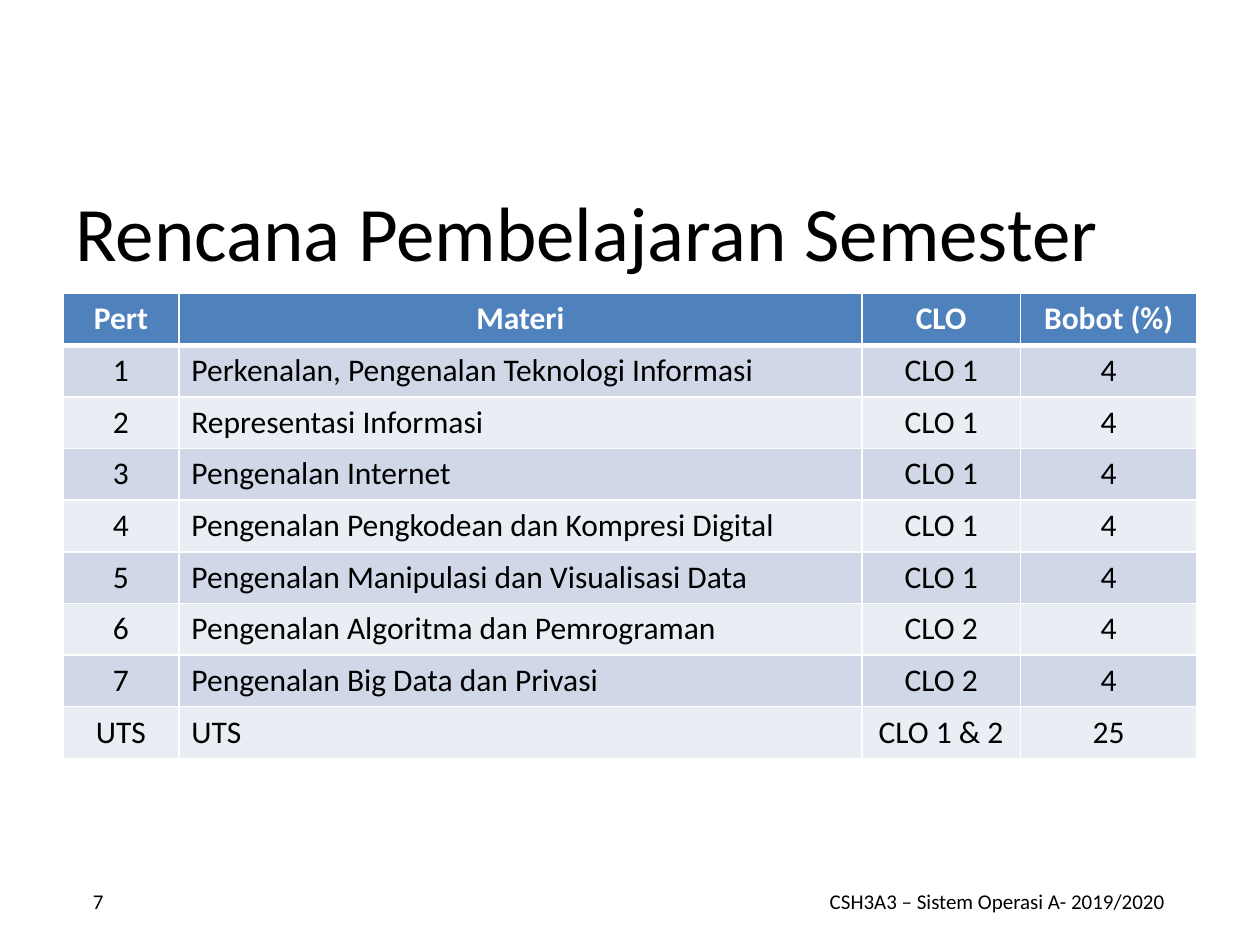
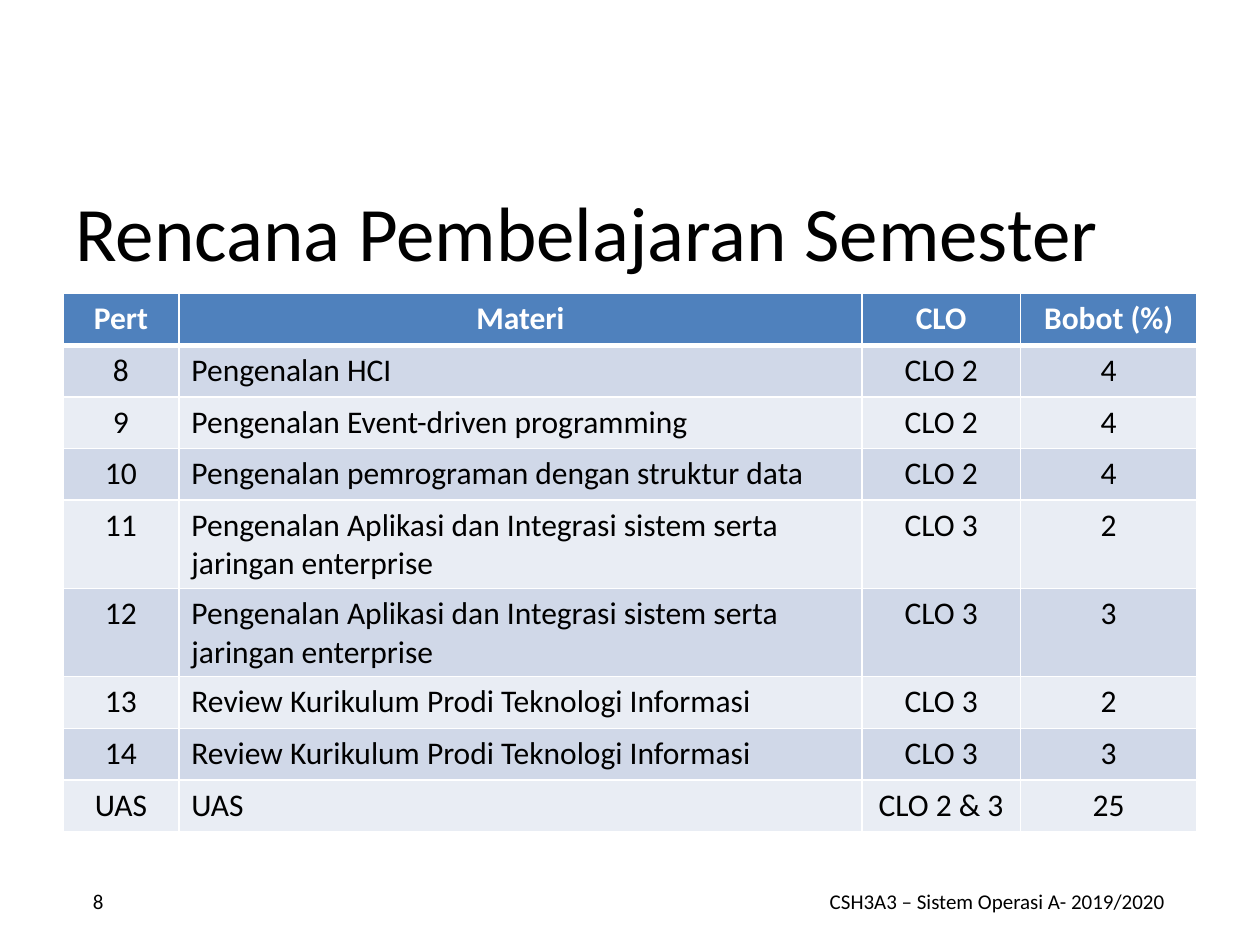
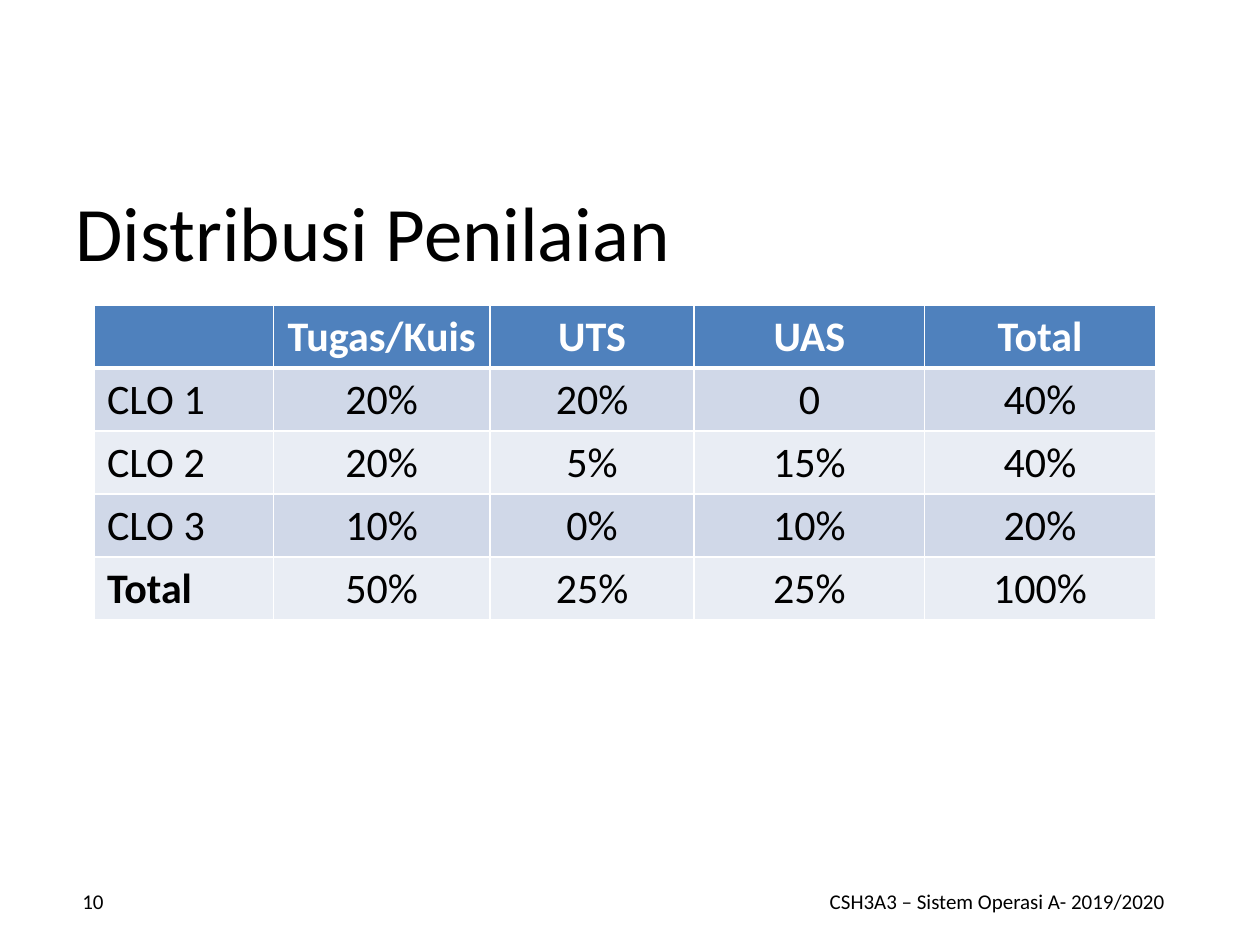
"""Build three course slides: two semester plans and the grading distribution."""
from dataclasses import dataclass

from lxml.etree import SubElement
from pptx import Presentation
from pptx.dml.color import RGBColor
from pptx.enum.text import MSO_ANCHOR, PP_ALIGN
from pptx.oxml.ns import qn
from pptx.util import Inches, Pt

FONT = "Calibri"
BLACK = RGBColor(0x00, 0x00, 0x00)
WHITE = RGBColor(0xFF, 0xFF, 0xFF)
HEADER_BLUE = RGBColor(0x4F, 0x81, 0xBD)
BANDS = (RGBColor(0xD0, 0xD8, 0xE8), RGBColor(0xE9, 0xED, 0xF4))

FOOTER = "CSH3A3 – Sistem Operasi A- 2019/2020"
PLAN_TITLE = "Rencana Pembelajaran Semester"
PLAN_HEADER = ("Pert", "Materi", "CLO", "Bobot (%)")
INTEGRATION = "Pengenalan Aplikasi dan Integrasi sistem serta jaringan enterprise"
REVIEW = "Review Kurikulum Prodi Teknologi Informasi"
THIN, THICK = 1, 3


@dataclass(frozen=True)
class TextStyle:
    """Place and look of a text box that every slide has."""
    left: float
    top: float
    width: float
    height: float
    size: int
    align: PP_ALIGN


@dataclass(frozen=True)
class TableStyle:
    """Grid, text size and left-aligned column of a table."""
    left: float
    top: float
    widths: tuple[float, ...]
    row_height: float
    size: int
    label_col: int


@dataclass(frozen=True)
class TableSlide:
    """Content of one slide."""
    number: int
    title: str
    style: TableStyle
    height: float
    rows: tuple[tuple[str, ...], ...]


TITLE_BOX = TextStyle(0.5, 1.42, 9, 0.83, 44, PP_ALIGN.LEFT)
FOOTER_BOX = TextStyle(6.33, 6.95, 3.17, 0.4, 12, PP_ALIGN.CENTER)
NUMBER_BOX = TextStyle(0.5, 6.95, 0.42, 0.4, 12, PP_ALIGN.RIGHT)
PLAN = TableStyle(0.5, 2.33, (0.92, 5.42, 1.26, 1.4), 0.41, 18, 1)
GRADING = TableStyle(0.75, 2.42, (1.42, 1.72, 1.62, 1.83, 1.83), 0.5, 24, 0)

SLIDES = (
    TableSlide(7, PLAN_TITLE, PLAN, 3.65, (
        PLAN_HEADER,
        ("1", "Perkenalan, Pengenalan Teknologi Informasi", "CLO 1", "4"),
        ("2", "Representasi Informasi", "CLO 1", "4"),
        ("3", "Pengenalan Internet", "CLO 1", "4"),
        ("4", "Pengenalan Pengkodean dan Kompresi Digital", "CLO 1", "4"),
        ("5", "Pengenalan Manipulasi dan Visualisasi Data", "CLO 1", "4"),
        ("6", "Pengenalan Algoritma dan Pemrograman", "CLO 2", "4"),
        ("7", "Pengenalan Big Data dan Privasi", "CLO 2", "4"),
        ("UTS", "UTS", "CLO 1 & 2", "25"),
    )),
    TableSlide(8, PLAN_TITLE, PLAN, 4.24, (
        PLAN_HEADER,
        ("8", "Pengenalan HCI", "CLO 2", "4"),
        ("9", "Pengenalan Event-driven programming", "CLO 2", "4"),
        ("10", "Pengenalan pemrograman dengan struktur data", "CLO 2", "4"),
        ("11", INTEGRATION, "CLO 3", "2"),
        ("12", INTEGRATION, "CLO 3", "3"),
        ("13", REVIEW, "CLO 3", "2"),
        ("14", REVIEW, "CLO 3", "3"),
        ("UAS", "UAS", "CLO 2 & 3", "25"),
    )),
    TableSlide(10, "Distribusi Penilaian", GRADING, 2.5, (
        ("", "Tugas/Kuis", "UTS", "UAS", "Total"),
        ("CLO 1", "20%", "20%", "0", "40%"),
        ("CLO 2", "20%", "5%", "15%", "40%"),
        ("CLO 3", "10%", "0%", "10%", "20%"),
        ("Total", "50%", "25%", "25%", "100%"),
    )),
)


def write(tf, text: str, size: int, align: PP_ALIGN,
          color: RGBColor = BLACK, bold: bool = False) -> None:
    """Put one formatted paragraph into a text frame."""
    tf.text = text
    p = tf.paragraphs[0]
    p.alignment = align
    for r in p.runs:
        r.font.name = FONT
        r.font.size = Pt(size)
        r.font.bold = bold
        r.font.color.rgb = color


def add_text(s, style: TextStyle, text: str) -> None:
    """Add a vertically centred text box."""
    box = s.shapes.add_textbox(Inches(style.left), Inches(style.top),
                               Inches(style.width), Inches(style.height))
    tf = box.text_frame
    tf.word_wrap = True
    tf.vertical_anchor = MSO_ANCHOR.MIDDLE
    write(tf, text, style.size, style.align)


def set_borders(cell, top: int, bottom: int) -> None:
    """Draw white borders, with the given top and bottom widths in points."""
    tc_pr = cell._tc.get_or_add_tcPr()
    for side, width in (("L", THIN), ("R", THIN), ("T", top), ("B", bottom)):
        ln = SubElement(tc_pr, qn(f"a:ln{side}"), w=str(Pt(width)))
        fill = SubElement(ln, qn("a:solidFill"))
        SubElement(fill, qn("a:srgbClr"), val=str(WHITE))


def fill_cell(cell, text: str, row: int, col: int, style: TableStyle) -> None:
    """Write and colour a cell by its place in the table."""
    header = row == 0
    label = not header and col == style.label_col
    set_borders(cell, THICK if row == 1 else THIN, THICK if header else THIN)
    cell.fill.solid()
    cell.fill.fore_color.rgb = HEADER_BLUE if header else BANDS[(row - 1) % 2]
    write(cell.text_frame, text, style.size,
          PP_ALIGN.LEFT if label else PP_ALIGN.CENTER,
          WHITE if header else BLACK, header or text == "Total")


def add_table(s, content: TableSlide) -> None:
    """Add the banded table of a slide."""
    style = content.style
    frame = s.shapes.add_table(
        len(content.rows), len(style.widths), Inches(style.left),
        Inches(style.top), Inches(sum(style.widths)), Inches(content.height))
    table = frame.table
    for column, width in zip(table.columns, style.widths):
        column.width = Inches(width)
    for i, texts in enumerate(content.rows):
        table.rows[i].height = Inches(style.row_height)
        for j, text in enumerate(texts):
            fill_cell(table.cell(i, j), text, i, j, style)
    frame.height = Inches(content.height)


def main() -> None:
    """Build and save the presentation."""
    prs = Presentation()
    prs.slide_width, prs.slide_height = Inches(10), Inches(7.5)
    for content in SLIDES:
        s = prs.slides.add_slide(prs.slide_layouts[6])
        add_text(s, TITLE_BOX, content.title)
        add_text(s, FOOTER_BOX, FOOTER)
        add_text(s, NUMBER_BOX, str(content.number))
        add_table(s, content)
    prs.save("out.pptx")


if __name__ == "__main__":
    main()
